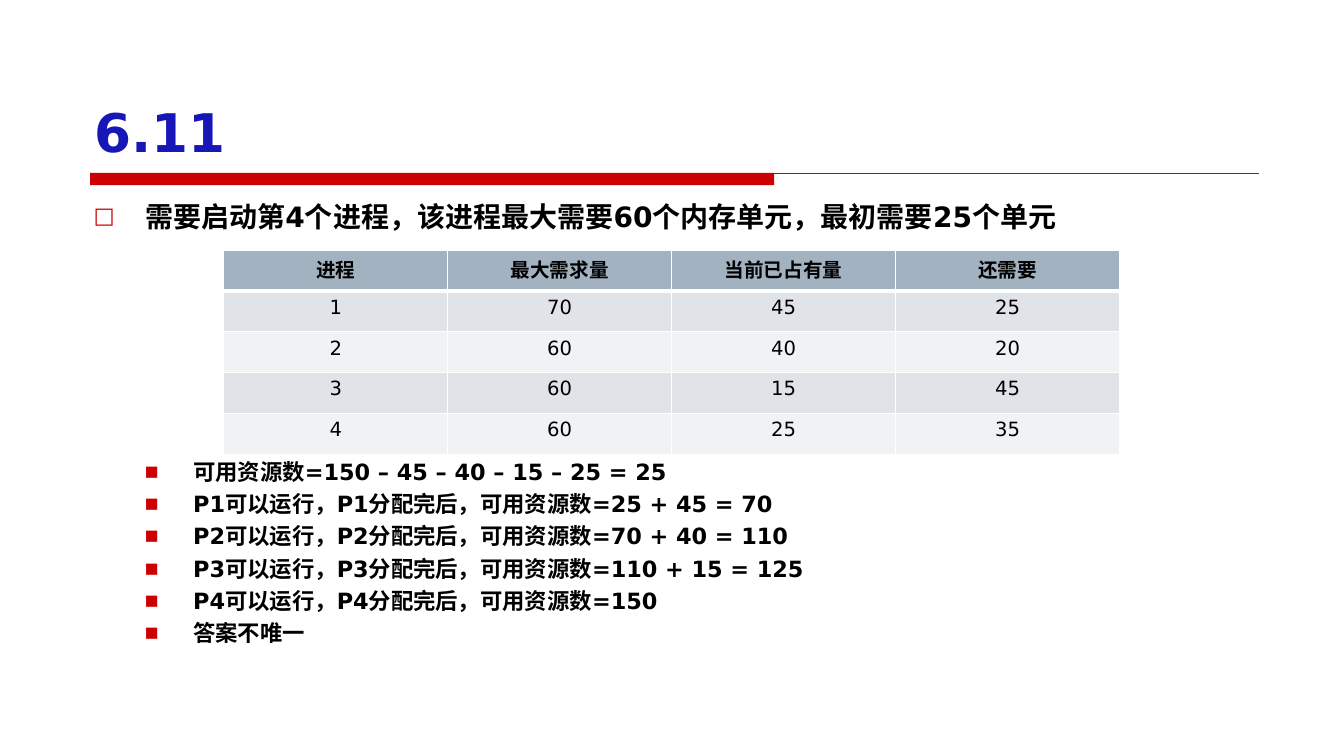
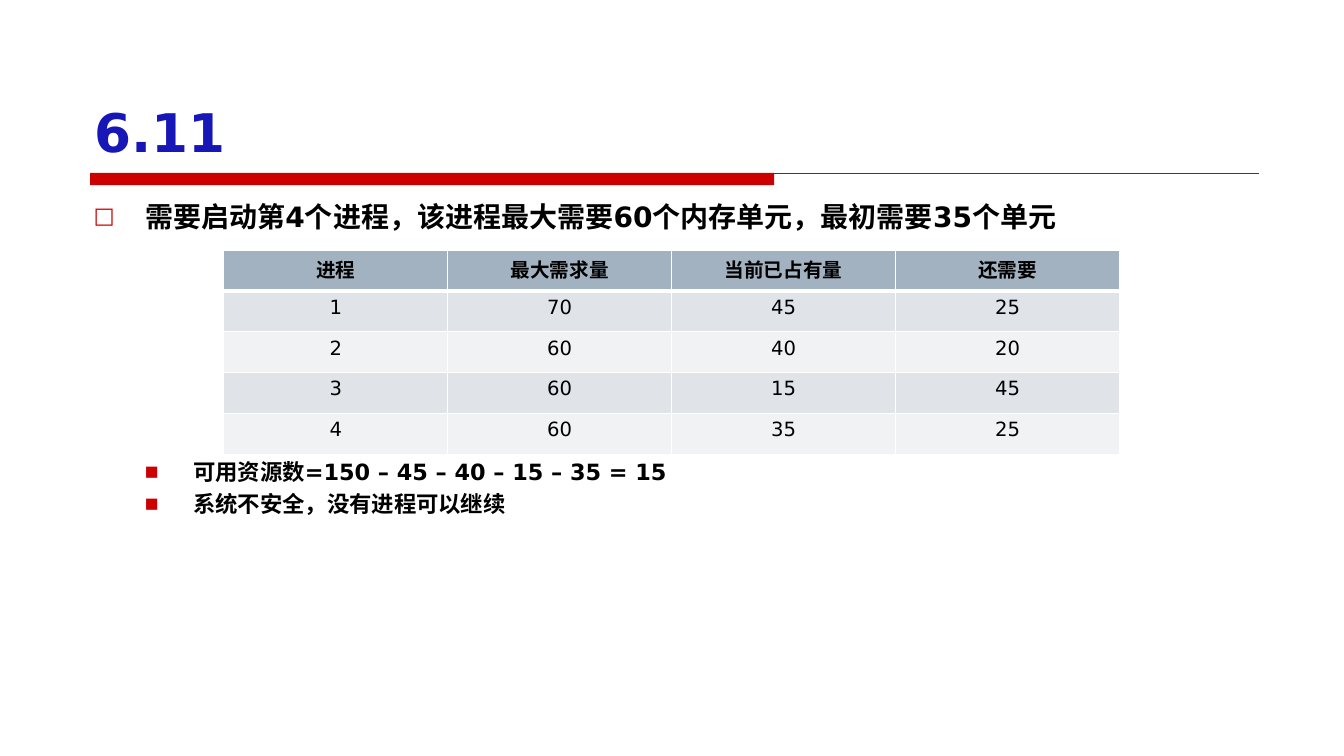
from dataclasses import dataclass

from lxml import etree
from pptx import Presentation, util as u
from pptx.dml.color import RGBColor
from pptx.enum import shapes, text
from pptx.oxml import ns


@dataclass(frozen=True)
class Theme:
    font: str = "DejaVu Sans"
    title: str = "1717B7"
    accent: str = "CC0000"
    ink: str = "000000"
    border: str = "FFFFFF"
    header: str = "A3B2C1"
    bands: tuple = ("E0E4E9", "F0F2F4")
    title_size: int = 38
    headline_size: int = 20
    finding_size: int = 16
    table_size: int = 14


theme = Theme()


def write(frame, lines, size, color, bold=True):
    frame.word_wrap = True
    frame.text = "\n".join(lines)
    for paragraph in frame.paragraphs:
        for run in paragraph.runs:
            run.font.size = u.Pt(size)
            run.font.name = theme.font
            run.font.bold = bold
            run.font.color.rgb = RGBColor.from_string(color)
            etree.SubElement(run.font._element, ns.qn("a:ea"), typeface=theme.font)


def add_bullets(frame, symbol, percent, margin, hanging):
    for paragraph in frame.paragraphs:
        paragraph.space_before = u.Pt(3.8)
        properties = paragraph._p.get_or_add_pPr()
        properties.set("marL", str(u.Cm(margin)))
        properties.set("indent", str(-u.Cm(hanging)))
        color = etree.SubElement(properties, ns.qn("a:buClr"))
        etree.SubElement(color, ns.qn("a:srgbClr"), val=theme.accent)
        etree.SubElement(properties, ns.qn("a:buSzPct"), val=str(percent * 1000))
        etree.SubElement(properties, ns.qn("a:buFont"), typeface=theme.font)
        etree.SubElement(properties, ns.qn("a:buChar"), char=symbol)


columns = ["进程", "最大需求量", "当前已占有量", "还需要"]
running = [(1, 70, 45), (2, 60, 40), (3, 60, 15)]
cases = [
    (25, [
        "可用资源数=150 – 45 – 40 – 15 – 25 = 25",
        "P1可以运行，P1分配完后，可用资源数=25 + 45 = 70",
        "P2可以运行，P2分配完后，可用资源数=70 + 40 = 110",
        "P3可以运行，P3分配完后，可用资源数=110 + 15 = 125",
        "P4可以运行，P4分配完后，可用资源数=150",
        "答案不唯一",
    ]),
    (35, [
        "可用资源数=150 – 45 – 40 – 15 – 35 = 15",
        "系统不安全，没有进程可以继续",
    ]),
]

deck = Presentation()
deck.slide_width, deck.slide_height = u.Cm(33.87), u.Cm(19.05)

for initial_units, findings in cases:
    slide = deck.slides.add_slide(deck.slide_layouts[6])

    band = slide.shapes.add_shape(
        shapes.MSO_SHAPE.RECTANGLE, u.Cm(2.27), u.Cm(4.36), u.Cm(17.24), u.Cm(0.31))
    band.shadow.inherit = False
    band.fill.solid()
    band.fill.fore_color.rgb = RGBColor.from_string(theme.accent)
    band.line.fill.background()

    rule = slide.shapes.add_connector(
        shapes.MSO_CONNECTOR.STRAIGHT, u.Cm(2.27), u.Cm(4.36), u.Cm(31.73), u.Cm(4.36))
    rule.line.color.rgb = RGBColor.from_string(theme.accent)
    rule.line.width = u.Pt(0.75)
    etree.SubElement(rule._element.spPr, ns.qn("a:effectLst"))

    title = slide.shapes.add_textbox(u.Cm(2.13), u.Cm(0.86), u.Cm(29.64), u.Cm(3.38))
    title.text_frame.vertical_anchor = text.MSO_ANCHOR.BOTTOM
    write(title.text_frame, ["6.11"], theme.title_size, theme.title)

    headline = slide.shapes.add_textbox(u.Cm(2.11), u.Cm(4.9), u.Cm(29.85), u.Cm(1.2))
    question = f"需要启动第4个进程，该进程最大需要60个内存单元，最初需要{initial_units}个单元"
    write(headline.text_frame, [question], theme.headline_size, theme.ink)
    add_bullets(headline.text_frame, "□", 80, 1.3, 1.3)

    steps = slide.shapes.add_textbox(u.Cm(2.11), u.Cm(11.42), u.Cm(29.85), u.Cm(7.1))
    write(steps.text_frame, findings, theme.finding_size, theme.ink)
    add_bullets(steps.text_frame, "■", 65, 2.51, 1.22)

    processes = running + [(4, 60, initial_units)]
    rows = [columns] + [(name, need, held, need - held) for name, need, held in processes]
    demand = slide.shapes.add_table(
        len(rows), len(columns), u.Cm(5.64), u.Cm(6.3), u.Cm(22.58), u.Cm(5.15)).table
    demand.horz_banding = False
    for r, row in enumerate(rows):
        heading = r == 0
        for c, value in enumerate(row):
            cell = demand.cell(r, c)
            write(cell.text_frame, [str(value)], theme.table_size, theme.ink, heading)
            cell.text_frame.paragraphs[0].alignment = text.PP_ALIGN.CENTER
            cell.vertical_anchor = text.MSO_ANCHOR.MIDDLE if heading else text.MSO_ANCHOR.TOP
            widths = {"lnL": 1, "lnR": 1, "lnT": 3 if r == 1 else 1, "lnB": 3 if heading else 1}
            for side, width in widths.items():
                edge = etree.SubElement(
                    cell._tc.get_or_add_tcPr(), ns.qn(f"a:{side}"), w=str(u.Pt(width)))
                paint = etree.SubElement(edge, ns.qn("a:solidFill"))
                etree.SubElement(paint, ns.qn("a:srgbClr"), val=theme.border)
            cell.fill.solid()
            cell.fill.fore_color.rgb = RGBColor.from_string(
                theme.header if heading else theme.bands[(r - 1) % 2])

deck.save("out.pptx")
